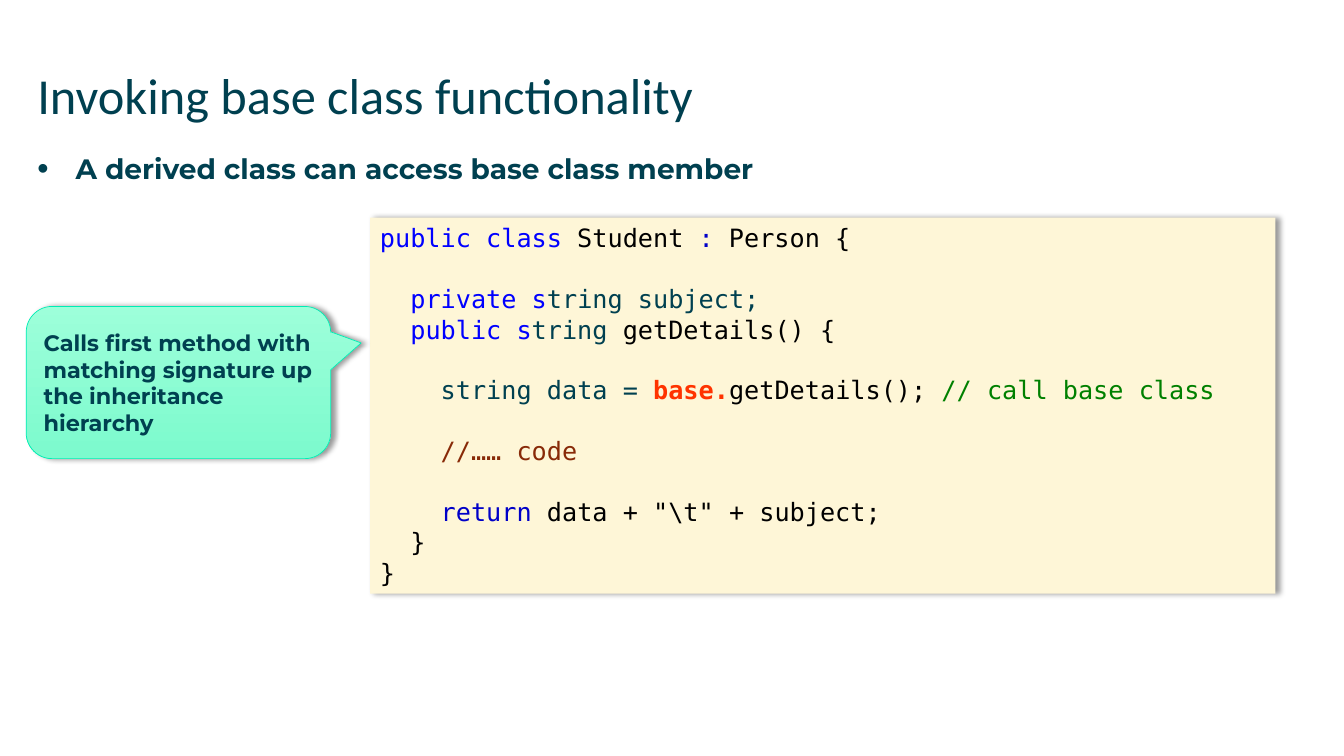
"""Build the slide on invoking base class functionality."""
from lxml import etree
from pptx import Presentation, util as u
from pptx.dml.color import RGBColor
from pptx.enum import shapes, text
from pptx.oxml.ns import qn

PX = 9144
CODE_LINE = u.Pt(21.7)
CODE_INDENT = u.Pt(21.68)
TEAL, BLUE, NAVY, BLACK = "004050", "0000FF", "0000C8", "000000"
RED, GREEN, BROWN = "FF3300", "008000", "882A08"


def color(value):
    return RGBColor.from_string(value)


def style(run, font, size, value, bold=False):
    run.font.name = font
    run.font.size = u.Pt(size)
    run.font.color.rgb = color(value)
    run.font.bold = bold


prs = Presentation()
prs.slide_width, prs.slide_height = 1333 * PX, 750 * PX
slide = prs.slides.add_slide(prs.slide_layouts[6])

headings = [
    ("Invoking base class functionality", 61, 88, 3, "Calibri", 36, False),
    ("A derived class can access base class member", 150, 48, 0, "Montserrat", 20, True),
]
for words, top, height, inset, font, size, bold in headings:
    heading = slide.shapes.add_textbox(37 * PX, top * PX, 1195 * PX, height * PX)
    frame = heading.text_frame
    frame.word_wrap = True
    frame.margin_left = frame.margin_right = frame.margin_bottom = 0
    frame.margin_top = inset * PX
    frame.text = words
    style(frame.paragraphs[0].runs[0], font, size, TEAL, bold)

point = frame.paragraphs[0]._p.get_or_add_pPr()
point.set("marL", str(38 * PX))
point.set("indent", str(-38 * PX))
etree.SubElement(point, qn("a:buSzPct"), val="115000")
etree.SubElement(point, qn("a:buFont"), typeface="Arial")
etree.SubElement(point, qn("a:buChar"), char="•")

code = slide.shapes.add_shape(
    shapes.MSO_SHAPE.RECTANGLE, 367 * PX, 216 * PX, 898 * PX, 373 * PX)
code.fill.solid()
code.fill.fore_color.rgb = color("FEF6D7")
code.line.fill.background()

callout = slide.shapes.add_shape(
    shapes.MSO_SHAPE.ROUNDED_RECTANGULAR_CALLOUT, 26 * PX, 304 * PX, 302 * PX, 151 * PX)
for index, value in enumerate((0.6, -0.26, 0.17)):
    callout.adjustments[index] = value
callout.fill.gradient()
callout.fill.gradient_angle = 270
for stop, value in zip(callout.fill.gradient_stops, ("9DFFDA", "7CFACD")):
    stop.color.rgb = color(value)
callout.line.color.rgb = color("00EDB5")
callout.line.width = u.Pt(0.5)

for panel in (code, callout):
    panel.shadow.inherit = False
    effects = panel._element.spPr.find(qn("a:effectLst"))
    shadow = etree.SubElement(
        effects, qn("a:outerShdw"), blurRad=str(u.Pt(4)), dist=str(u.Pt(3)),
        dir="0", algn="ctr", rotWithShape="0")
    shade = etree.SubElement(shadow, qn("a:srgbClr"), val=BLACK)
    etree.SubElement(shade, qn("a:alpha"), val="40000")

code_lines = [
    (0, 0, [("public class ", BLUE), ("Student ", BLACK), (":", NAVY), (" Person {", BLACK)]),
    (1, 1, [("private s", BLUE), ("tring subject;", TEAL)]),
    (1, 0, [("public s", BLUE), ("tring ", TEAL), ("getDetails() {", BLACK)]),
    (2, 1, [("string data = ", TEAL), ("base.", RED), ("getDetails(); ", BLACK),
            ("// call base class", GREEN)]),
    (2, 1, [("//…… code", BROWN)]),
    (2, 1, [("return", NAVY), (' data + "\\t" + subject;', BLACK)]),
    (1, 0, [("}", BLACK)]),
    (0, 0, [("}", BLACK)]),
]
frame = code.text_frame
frame.word_wrap = True
frame.vertical_anchor = text.MSO_ANCHOR.TOP
frame.margin_left, frame.margin_right = 10 * PX, 0
frame.margin_top = frame.margin_bottom = 5 * PX
for number, (level, gap, tokens) in enumerate(code_lines):
    line = frame.add_paragraph() if number else frame.paragraphs[0]
    line.alignment = text.PP_ALIGN.LEFT
    line.line_spacing = CODE_LINE
    line.space_before = gap * CODE_LINE
    line._p.get_or_add_pPr().set("marL", str(level * CODE_INDENT))
    for words, value in tokens:
        token = line.add_run()
        token.text = words
        style(token, "DejaVu Sans Mono", 18, value, value == RED)

frame = callout.text_frame
frame.word_wrap = True
frame.vertical_anchor = text.MSO_ANCHOR.MIDDLE
frame.text = "Calls first method with matching signature up the inheritance hierarchy"
frame.paragraphs[0].alignment = text.PP_ALIGN.LEFT
style(frame.paragraphs[0].runs[0], "Montserrat", 16, TEAL, True)

prs.save("out.pptx")
